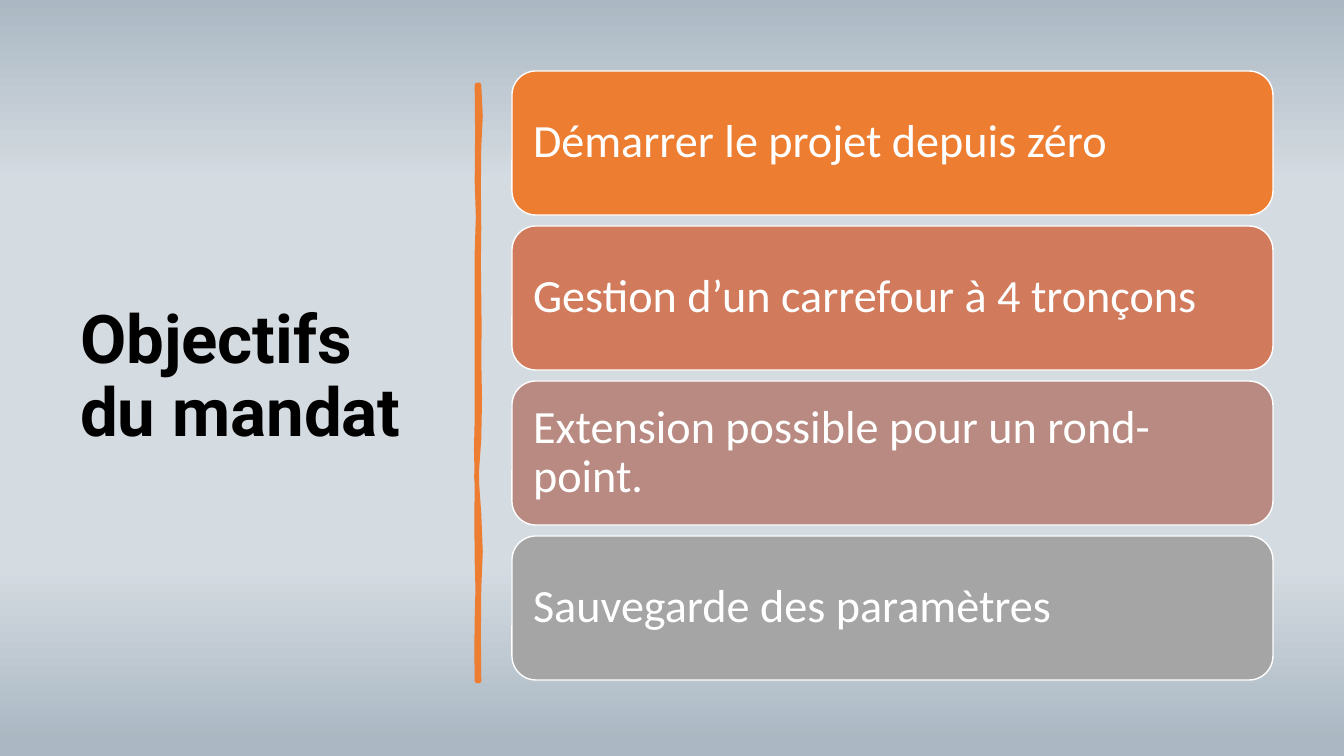
import dataclasses

import lxml.etree
import pptx
import pptx.dml.color
import pptx.enum.shapes
import pptx.enum.text
import pptx.oxml.ns
import pptx.util

SCALE = 914400 / 100.8


@dataclasses.dataclass
class Theme:
    accent: str = "ED7D31"
    white: str = "FFFFFF"
    black: str = "000000"
    edge: str = "ABB8C3"
    mid: str = "D4DBE1"
    coral: str = "D17B5C"
    rose: str = "B98A82"
    gray: str = "A5A5A5"
    head: str = "Roboto"
    body: str = "Calibri"
    large: int = 48
    text: int = 33


def px(count):
    return pptx.util.Emu(round(count * SCALE))


def rgb(code):
    return pptx.dml.color.RGBColor.from_string(code)


def write(frame, text, font, size, color, bold=False, inset=None):
    frame.word_wrap = True
    frame.auto_size = pptx.enum.text.MSO_AUTO_SIZE.NONE
    frame.vertical_anchor = pptx.enum.text.MSO_ANCHOR.MIDDLE
    if inset is not None:
        for side in ("left", "top", "right", "bottom"):
            setattr(frame, "margin_" + side, px(inset))
    line = frame.paragraphs[0]
    line.alignment = pptx.enum.text.PP_ALIGN.LEFT
    line.line_spacing = 0.9
    run = line.add_run()
    run.text = text
    run.font.name = font
    run.font.size = pptx.util.Pt(size)
    run.font.bold = bold
    run.font.color.rgb = rgb(color)


def edge(start, base, bends):
    points = [(px(base), px(start))]
    for end, first, second in bends:
        x = base + 3 * (first + second - 2 * base) / 8
        points.append((px(x), px((start + end) / 2)))
        points.append((px(base), px(end)))
        start = end
    return points


class Deck:
    def __init__(self, theme):
        self.theme = theme
        self.show = pptx.Presentation()
        self.show.slide_width = px(1344)
        self.show.slide_height = px(756)
        self.slide = self.show.slides.add_slide(self.show.slide_layouts[5])

    def back(self, stops):
        fill = self.slide.background.fill
        fill.gradient()
        fill.gradient_angle = 270
        qn = pptx.oxml.ns.qn
        items = next(self.slide.element.iter(qn("a:gsLst")))
        for item in list(items):
            items.remove(item)
        for place, color in stops:
            stop = lxml.etree.SubElement(items, qn("a:gs"), pos=str(place * 1000))
            lxml.etree.SubElement(stop, qn("a:srgbClr"), val=color)

    def title(self, text, left, top, width, height):
        box = self.slide.shapes.title
        box.left, box.top, box.width, box.height = map(px, (left, top, width, height))
        look = self.theme
        write(box.text_frame, text, look.head, look.large, look.black, bold=True)

    def paint(self, shape, fill, line, weight):
        shape.shadow.inherit = False
        shape.fill.solid()
        shape.fill.fore_color.rgb = rgb(fill)
        shape.line.color.rgb = rgb(line)
        shape.line.width = pptx.util.Pt(weight)

    def wave(self, points):
        form = self.slide.shapes.build_freeform(*points[0], scale=1.0)
        form.add_line_segments(points[1:], close=True)
        color = self.theme.accent
        self.paint(form.convert_to_shape(), color, color, 3.25)

    def card(self, text, fill, left, top, width, height):
        kind = pptx.enum.shapes.MSO_SHAPE.ROUNDED_RECTANGLE
        shape = self.slide.shapes.add_shape(kind, *map(px, (left, top, width, height)))
        look = self.theme
        self.paint(shape, fill, look.white, 1)
        write(shape.text_frame, text, look.body, look.text, look.white, inset=14)


def main():
    theme = Theme()
    deck = Deck(theme)
    deck.back([(0, theme.edge), (24, theme.mid), (75, theme.mid), (98, theme.edge)])
    deck.title("Objectifs du mandat", 70, 70, 377, 616)

    right = [
        (147, 481, 481), (228, 477, 480), (296, 478, 479), (359, 478, 481),
        (439, 477, 483), (514, 475, 476), (589, 481, 481), (681, 477, 480),
    ]
    left = [
        (618, 478, 475), (561, 478, 478), (481, 476, 477), (418, 477, 475),
        (338, 478, 476), (252, 478, 476), (182, 478, 479), (85, 474, 481),
    ]
    deck.wave(edge(85, 479, right) + edge(681, 477, left))

    goals = [
        ("Démarrer le projet depuis zéro", theme.accent),
        ("Gestion d’un carrefour à 4 tronçons", theme.coral),
        ("Extension possible pour un rond-point.", theme.rose),
        ("Sauvegarde des paramètres", theme.gray),
    ]
    for row, (text, fill) in enumerate(goals):
        deck.card(text, fill, 512, 71 + 155 * row, 761, 144)
    deck.show.save("out.pptx")


if __name__ == "__main__":
    main()
